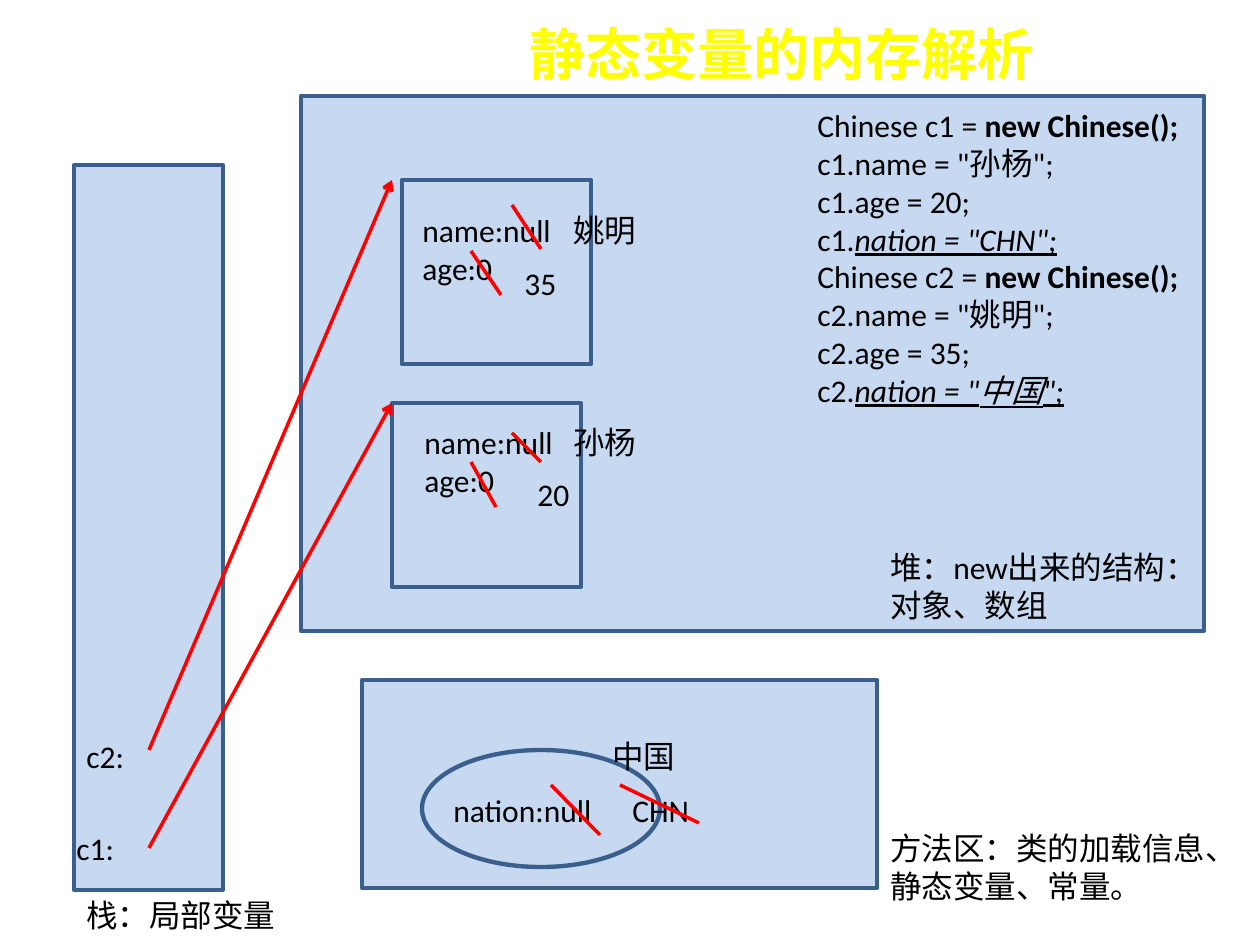
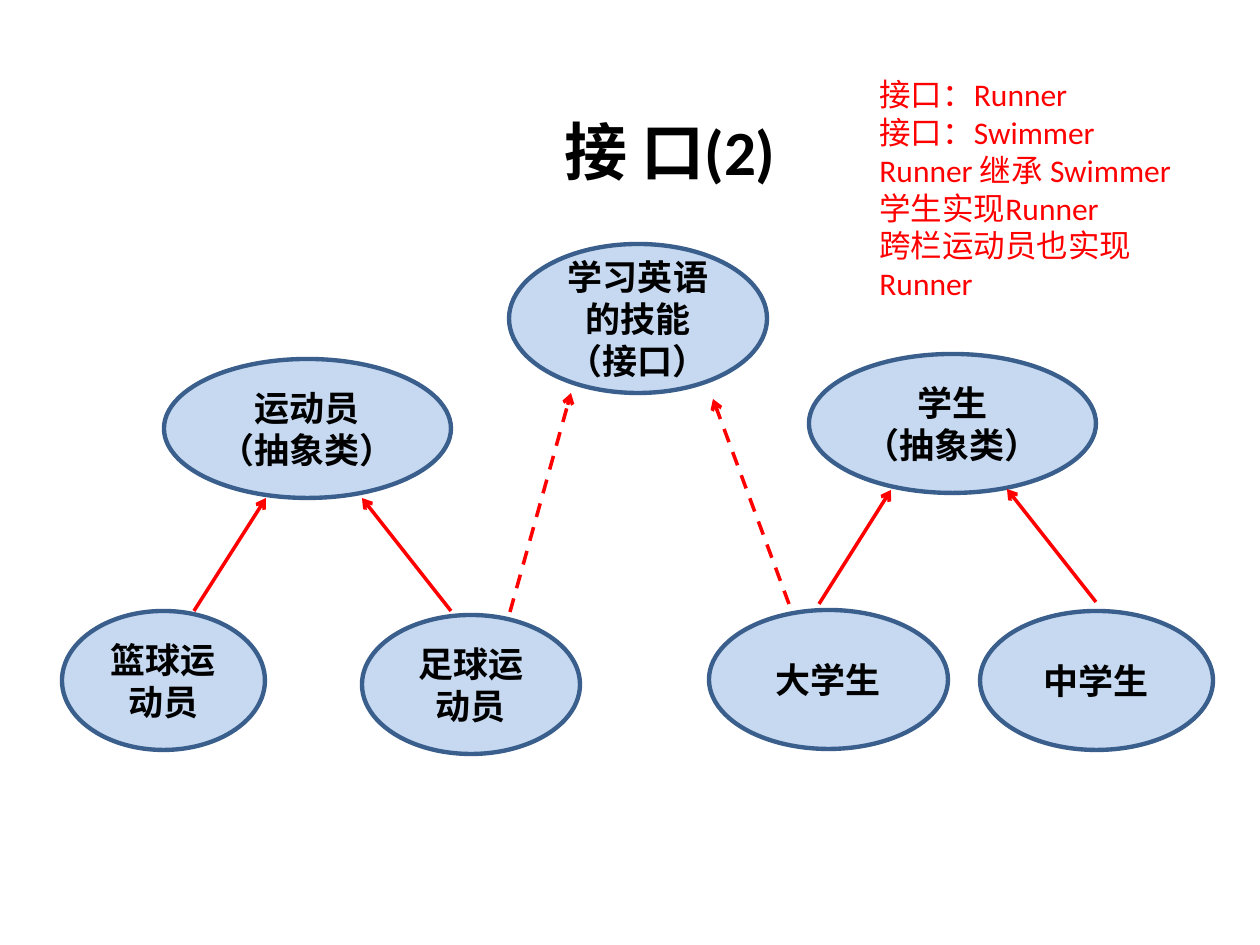
import pptx
import pptx.dml.color
import pptx.enum.dml
import pptx.enum.shapes
import pptx.enum.text
import pptx.oxml.ns
import pptx.util
from lxml import etree

PX = 914400 / 126
FILL, OUTLINE = "C6D9F1", "3A5F8C"
RED, BLACK, YELLOW = "FF0000", "000000", "FFFF00"
LATIN, CJK = "Calibri", "Noto Sans CJK SC"
SHAPES = pptx.enum.shapes.MSO_SHAPE
ALIGN = pptx.enum.text.PP_ALIGN
ANCHOR = pptx.enum.text.MSO_ANCHOR
FIT = pptx.enum.text.MSO_AUTO_SIZE


def emu(*lengths):
    """Turn pixel lengths into EMU."""
    return [pptx.util.Emu(round(length * PX)) for length in lengths]


def rgb(value):
    """Return the colour for a hex string."""
    return pptx.dml.color.RGBColor.from_string(value)


def append_xml(parent, tag, **attributes):
    """Append one DrawingML element."""
    return etree.SubElement(parent, pptx.oxml.ns.qn(tag), attributes)


def write_text(frame, lines, size=18, font=LATIN, color=BLACK, bold=False,
               align=ALIGN.LEFT, anchor=ANCHOR.TOP, fit=FIT.NONE):
    """Fill a frame with lines, each a string or a list of (text, marks) runs."""
    frame.word_wrap = True
    frame.auto_size = fit
    frame.vertical_anchor = anchor
    for index, line in enumerate(lines):
        paragraph = frame.paragraphs[0] if index == 0 else frame.add_paragraph()
        paragraph.alignment = align
        for text, marks in [(line, "")] if isinstance(line, str) else line:
            run = paragraph.add_run()
            run.text = text
            run.font.size = pptx.util.Pt(size)
            run.font.name = font
            run.font.bold = bold or "b" in marks
            run.font.italic = "i" in marks
            run.font.underline = "u" in marks
            run.font.color.rgb = rgb(color)
            append_xml(run.font._element, "a:ea", typeface=CJK)


def add_slide(deck, title, box, **style):
    """Add a slide whose title placeholder is moved and formatted."""
    slide = deck.slides.add_slide(deck.slide_layouts[5])
    heading = slide.shapes.title
    heading.left, heading.top, heading.width, heading.height = emu(*box)
    write_text(heading.text_frame, [title], bold=True, **style)
    return slide


def add_label(slide, box, *lines, **style):
    """Add a wrapped text box."""
    label = slide.shapes.add_textbox(*emu(*box))
    write_text(label.text_frame, lines, fit=FIT.SHAPE_TO_FIT_TEXT, **style)


def add_area(slide, box, kind=SHAPES.RECTANGLE):
    """Add a light blue outlined shape."""
    area = slide.shapes.add_shape(kind, *emu(*box))
    area.shadow.inherit = False
    area.fill.solid()
    area.fill.fore_color.rgb = rgb(FILL)
    area.line.color.rgb = rgb(OUTLINE)
    area.line.width = pptx.util.Pt(2.5)
    return area


def add_type(slide, box, *lines):
    """Add an ellipse that names a class or an interface."""
    ellipse = add_area(slide, box, SHAPES.OVAL)
    write_text(ellipse.text_frame, lines, size=20, font=CJK, bold=True,
               align=ALIGN.CENTER, anchor=ANCHOR.MIDDLE)


def add_line(slide, ends, arrow=False, dashed=False):
    """Add a red line, with an arrowhead at its end if asked."""
    line = slide.shapes.add_connector(
        pptx.enum.shapes.MSO_CONNECTOR.STRAIGHT, *emu(*ends))
    line.line.color.rgb = rgb(RED)
    line.line.width = pptx.util.Pt(2)
    if dashed:
        line.line.dash_style = pptx.enum.dml.MSO_LINE.DASH
    if arrow:
        append_xml(line.line._get_or_add_ln(), "a:tailEnd", type="arrow")
    append_xml(line._element.spPr, "a:effectLst")


def add_object(slide, corner, reference, fields, name, age, strikes):
    """Add a heap object, the reference to it and its replaced field values."""
    add_area(slide, (*corner, 189, 184))
    add_line(slide, (*reference, 392, corner[1]), arrow=True)
    add_label(slide, (*fields, 169, 89), "name:null", "age:0")
    for strike in strikes:
        add_line(slide, strike)
    add_label(slide, (561, fields[1], 139, 50), name)
    age_text, *age_place = age
    add_label(slide, (*age_place, 50), age_text)


def build_memory(deck):
    """Build the slide on the memory of static variables."""
    slide = add_slide(deck, "静态变量的内存解析", (517, 13, 645, 81),
                      size=32, font=CJK, color=YELLOW)
    heap, stack, method_area = (301, 96, 903, 535), (74, 165, 149, 725), (362, 680, 515, 208)
    for region in (heap, stack, method_area):
        add_area(slide, region)

    code = []
    for variable, name, age, nation in (("c1", "孙杨", 20, "CHN"), ("c2", "姚明", 35, "中国")):
        code += [
            [(f"Chinese {variable} = ", ""), ("new Chinese();", "b")],
            f'{variable}.name = "{name}";',
            f"{variable}.age = {age};",
            [(f"{variable}.", ""), (f'nation = "{nation}";', "iu")],
        ]
    add_label(slide, (805, 100, 397, 318), *code)
    add_label(slide, (74, 890, 227, 50), "栈：局部变量")
    add_label(slide, (878, 542, 307, 89), "堆：new出来的结构：对象、数组")
    add_label(slide, (878, 823, 382, 89), "方法区：类的加载信息、静态变量、常量。")
    add_label(slide, (64, 823, 247, 50), "c1:")
    add_label(slide, (74, 731, 149, 50), "c2:")

    add_area(slide, (422, 750, 238, 117), SHAPES.OVAL)
    add_label(slide, (441, 785, 218, 50), "nation:null")
    add_label(slide, (620, 785, 100, 50), "CHN")
    add_label(slide, (600, 731, 118, 50), "中国")
    add_line(slide, (551, 785, 600, 835))
    add_line(slide, (620, 785, 699, 823))

    add_object(slide, (392, 403), (149, 848), (412, 417), "孙杨", ("20", 525, 469, 74),
               [(512, 433, 541, 462), (471, 462, 496, 507)])
    add_object(slide, (402, 180), (149, 750), (410, 205), "姚明", ("35", 512, 258, 69),
               [(512, 205, 541, 249), (471, 251, 501, 295)])


def build_interface(deck):
    """Build the slide on classes and interfaces."""
    slide = add_slide(deck, "接 口(2)", (360, 96, 620, 108), size=36,
                      align=ALIGN.CENTER, anchor=ANCHOR.MIDDLE)
    for box, *lines in (
        ((164, 359, 287, 139), "运动员", "（抽象类）"),
        ((809, 354, 287, 139), "学生", "（抽象类）"),
        ((62, 611, 203, 139), "篮球运动员"),
        ((709, 610, 239, 139), "大学生"),
        ((362, 615, 218, 139), "足球运动员"),
        ((980, 611, 233, 139), "中学生"),
        ((509, 244, 258, 149), "学习英语的技能", "（接口）"),
    ):
        add_type(slide, box, *lines)

    for inheritance in ((194, 611, 266, 498), (451, 611, 362, 498),
                        (819, 604, 891, 490), (1096, 602, 1007, 489)):
        add_line(slide, inheritance, arrow=True)
    for implementation in ((789, 604, 713, 399), (510, 612, 571, 393)):
        add_line(slide, implementation, arrow=True, dashed=True)

    add_label(slide, (867, 69, 344, 280), "接口：Runner", "接口：Swimmer",
              "Runner 继承 Swimmer", "学生实现Runner", "跨栏运动员也实现Runner",
              color=RED)


def main():
    """Build and save the deck."""
    deck = pptx.Presentation()
    deck.slide_width, deck.slide_height = emu(1260, 945)
    build_memory(deck)
    build_interface(deck)
    deck.save("out.pptx")


if __name__ == "__main__":
    main()
